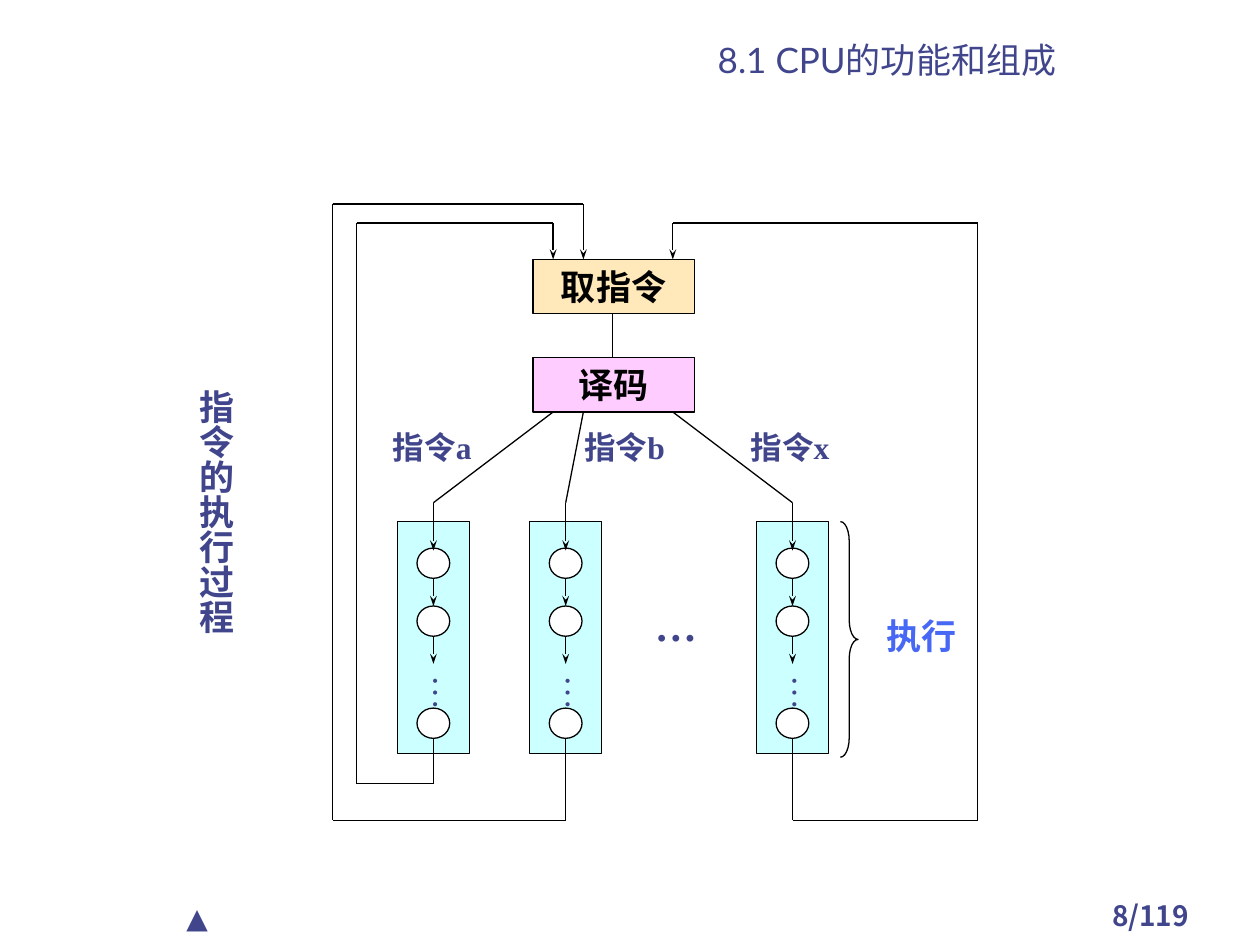
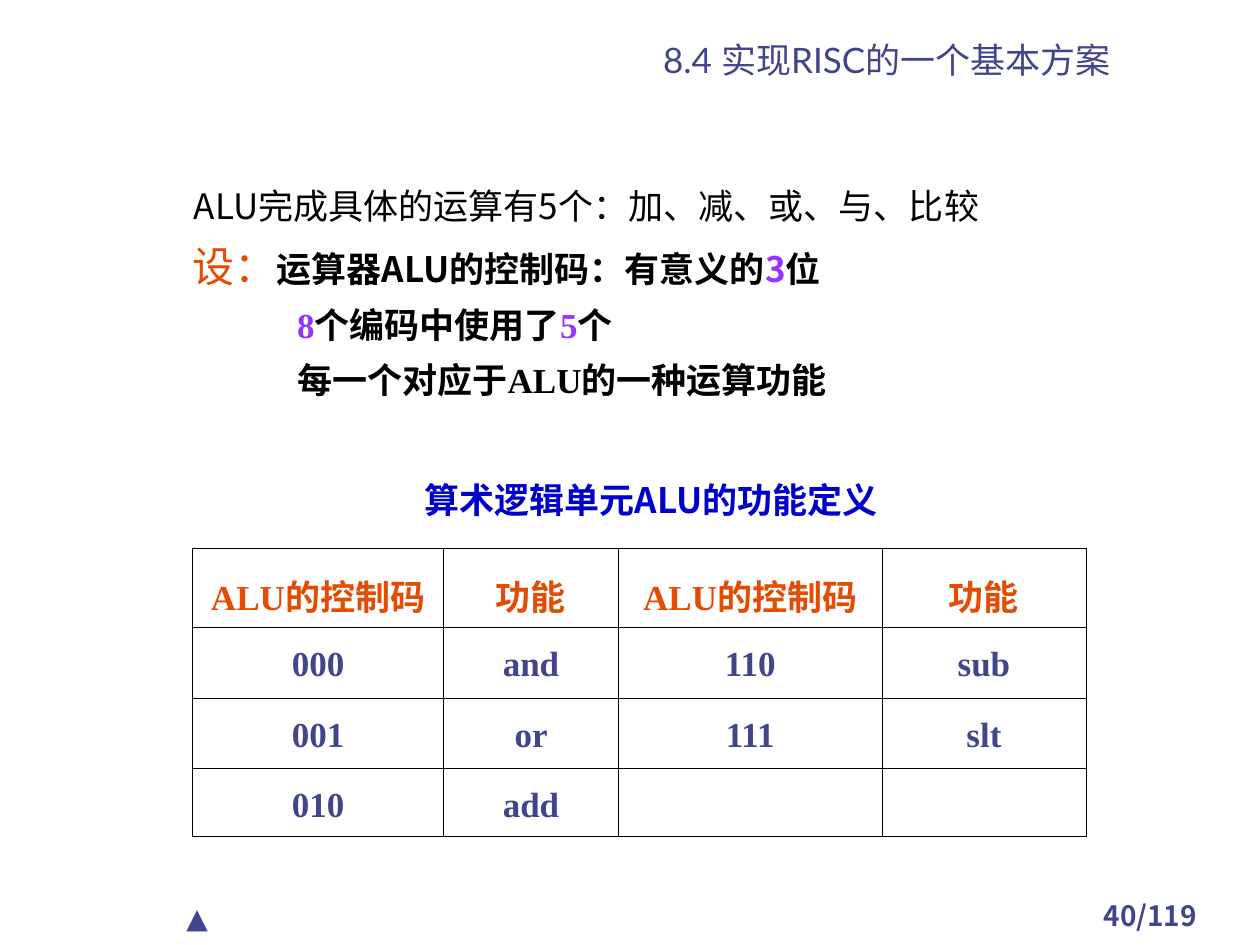
from dataclasses import dataclass
from typing import Optional

from lxml import etree
from pptx import Presentation
from pptx.dml.color import RGBColor
from pptx.enum.shapes import MSO_CONNECTOR, MSO_SHAPE
from pptx.enum.text import MSO_ANCHOR, PP_ALIGN
from pptx.oxml.ns import qn
from pptx.util import Inches, Pt

RECTANGLE, OVAL, BRACE = MSO_SHAPE.RECTANGLE, MSO_SHAPE.OVAL, MSO_SHAPE.RIGHT_BRACE
STRAIGHT = MSO_CONNECTOR.STRAIGHT
LEFT, CENTER = PP_ALIGN.LEFT, PP_ALIGN.CENTER
TOP, MIDDLE, BOTTOM = MSO_ANCHOR.TOP, MSO_ANCHOR.MIDDLE, MSO_ANCHOR.BOTTOM


@dataclass(frozen=True)
class Theme:
    indigo: str = "40458C"
    black: str = "000000"
    white: str = "FFFFFF"
    orange: str = "E24C05"
    purple: str = "9933FF"
    blue: str = "0000CC"
    bright_blue: str = "4768F5"
    cyan: str = "CCFFFF"
    pink: str = "FFCCFF"
    cream: str = "FFE8B9"
    sans: str = "Lato"
    serif: str = "Times New Roman"
    chinese: str = "Noto Sans CJK SC"
    small: int = 16
    label: int = 18
    normal: int = 20
    large: int = 24
    outline: float = 0.75
    cell_border: float = 0.45


THEME = Theme()


@dataclass(frozen=True)
class Style:
    size: int = THEME.normal
    color: str = THEME.indigo
    face: str = THEME.serif
    bold: bool = True


@dataclass(frozen=True)
class Span:
    text: str
    style: Style


@dataclass(frozen=True)
class Lane:
    """One instruction's column of execution steps."""
    center: float
    name: str
    label_left: float
    decode_x: float
    fetch_x: float
    return_x: float
    return_top: float
    return_bottom: float


BLACK_BOLD = Style(color=THEME.black)
TITLE = Style(face=THEME.sans, bold=False)
PAGE_NUMBER = Style(size=THEME.small, face=THEME.chinese)
MARKER = Style(size=THEME.small, face=THEME.sans, bold=False)
LABEL = Style(size=THEME.label)

FETCH_TOP, FETCH_BOTTOM = 2.06, 2.49
DECODE_TOP, DECODE_BOTTOM = 2.84, 3.27
BOX_LEFT, BOX_WIDTH, BOX_HEIGHT = 4.23, 1.28, 0.43
LANE_TOP, LANE_WIDTH, LANE_HEIGHT = 4.14, 0.57, 1.84
STEP_TOPS = (4.35, 4.81, 5.62)
STEP_WIDTH, STEP_HEIGHT = 0.26, 0.24
LANES = (
    Lane(3.44, "指令a", 3.02, 4.39, 4.39, 2.83, 1.77, 6.22),
    Lane(4.49, "指令b", 4.54, 4.63, 4.63, 2.64, 1.62, 6.51),
    Lane(6.29, "指令x", 5.86, 5.34, 5.34, 7.76, 1.77, 6.51),
)


def apply_style(font, style: Style) -> None:
    font.size = Pt(style.size)
    font.bold = style.bold
    font.color.rgb = RGBColor.from_string(style.color)
    font.name = style.face
    latin = font._rPr.find(qn("a:latin"))
    east_asian = etree.Element(qn("a:ea"), typeface=THEME.chinese)
    latin.addnext(east_asian)


def write(para, text: str, style: Style, align=LEFT) -> None:
    para.text = text
    para.alignment = align
    apply_style(para.font, style)


def add_text(page, left: float, top: float, width: float, height: float, text: str,
             style: Style, align=LEFT, anchor=TOP, vertical: bool = False) -> None:
    box = page.shapes.add_textbox(*map(Inches, (left, top, width, height)))
    frame = box.text_frame
    frame.word_wrap = True
    frame.vertical_anchor = anchor
    if vertical:
        frame._txBody.bodyPr.set("vert", "eaVert")
        frame.margin_left = frame.margin_right = Inches(0.05)
        frame.margin_top = frame.margin_bottom = Inches(0.1)
    write(frame.paragraphs[0], text, style, align)


def add_box(page, preset, left: float, top: float, width: float, height: float,
            fill: Optional[str] = None, text: str = ""):
    shape = page.shapes.add_shape(preset, *map(Inches, (left, top, width, height)))
    shape.shadow.inherit = False
    if fill:
        shape.fill.solid()
        shape.fill.fore_color.rgb = RGBColor.from_string(fill)
    else:
        shape.fill.background()
    shape.line.color.rgb = RGBColor.from_string(THEME.black)
    shape.line.width = Pt(THEME.outline)
    if text:
        shape.text_frame.vertical_anchor = MIDDLE
        write(shape.text_frame.paragraphs[0], text, BLACK_BOLD, CENTER)
    return shape


def add_route(page, *points: tuple[float, float], arrow: bool = True) -> None:
    """Join the points with straight lines; the arrowhead sits on the last point."""
    for start, end in zip(points, points[1:]):
        line = page.shapes.add_connector(STRAIGHT, *map(Inches, start + end))
        line.line.color.rgb = RGBColor.from_string(THEME.black)
        line.line.width = Pt(THEME.outline)
        properties = line._element.spPr
        etree.SubElement(properties, qn("a:effectLst"))
        if arrow and end == points[-1]:
            etree.SubElement(properties.find(qn("a:ln")), qn("a:tailEnd"),
                             type="stealth", w="sm")


def add_page(deck, title: str, number: str):
    page = deck.slides.add_slide(deck.slide_layouts[6])
    add_text(page, 8.42, 7.08, 1.42, 0.33, number, PAGE_NUMBER, CENTER)
    add_text(page, 1.38, 7.1, 1.42, 0.37, "▲", MARKER)
    add_text(page, 4.25, 0.27, 5.58, 0.42, title, TITLE, CENTER, BOTTOM)
    return page


def add_lane(page, lane: Lane) -> None:
    x = lane.center
    add_box(page, RECTANGLE, x - LANE_WIDTH / 2, LANE_TOP, LANE_WIDTH, LANE_HEIGHT, THEME.cyan)
    add_text(page, x - 0.19, 5.26, 0.52, 0.57, "…", Style(bold=False), vertical=True)
    for top in STEP_TOPS:
        add_box(page, OVAL, x - STEP_WIDTH / 2, top, STEP_WIDTH, STEP_HEIGHT, THEME.white)
    for top in STEP_TOPS[:2]:
        bottom = top + STEP_HEIGHT
        add_route(page, (x, bottom), (x, bottom + 0.22))
    add_route(page, (lane.decode_x, DECODE_BOTTOM), (x, 3.99), (x, STEP_TOPS[0] + 0.02))
    add_route(page, (x, STEP_TOPS[-1] + STEP_HEIGHT), (x, lane.return_bottom),
              (lane.return_x, lane.return_bottom), (lane.return_x, lane.return_top),
              (lane.fetch_x, lane.return_top), (lane.fetch_x, FETCH_TOP))
    add_text(page, lane.label_left, 3.35, 1.09, 0.5, lane.name, LABEL)


def build_instruction_cycle(deck) -> None:
    page = add_page(deck, "8.1 CPU的功能和组成", "8/119")
    add_box(page, RECTANGLE, BOX_LEFT, FETCH_TOP, BOX_WIDTH, BOX_HEIGHT, THEME.cream, "取指令")
    add_box(page, RECTANGLE, BOX_LEFT, DECODE_TOP, BOX_WIDTH, BOX_HEIGHT, THEME.pink, "译码")
    add_route(page, (4.86, FETCH_BOTTOM), (4.86, DECODE_TOP), arrow=False)
    for lane in LANES:
        add_lane(page, lane)
    add_text(page, 5.1, 4.71, 0.76, 0.5, "…", Style(size=THEME.large))
    brace = add_box(page, BRACE, 6.67, LANE_TOP, 0.14, 1.87)
    brace.adjustments[0] = 1.1
    add_text(page, 6.94, 4.83, 0.81, 0.51, "执行", Style(color=THEME.bright_blue))
    add_text(page, 1.33, 2.99, 0.6, 2.3, "指令的执行过程", Style(face=THEME.sans), vertical=True)


def add_body(page) -> None:
    sans = Style(color=THEME.black, face=THEME.chinese)
    plain = Style(color=THEME.black, face=THEME.chinese, bold=False)
    lead = Style(THEME.large, THEME.orange, THEME.serif, False)
    sans_accent = Style(color=THEME.purple, face=THEME.chinese)
    accent = Style(color=THEME.purple)
    lines = (
        (0.69, [Span("ALU完成具体的运算有5个：加、减、或、与、比较", plain)]),
        (0.68, [Span("设：", lead), Span("运算器ALU的控制码：有意义的", sans),
                Span("3", sans_accent), Span("位", sans)]),
        (1.51, [Span("8", accent), Span("个编码中使用了", BLACK_BOLD),
                Span("5", accent), Span("个", BLACK_BOLD)]),
        (1.51, [Span("每一个对应于ALU的一种运算功能", BLACK_BOLD)]),
    )
    frame = page.shapes.add_textbox(*map(Inches, (0.75, 1.38, 8.35, 2.21))).text_frame
    frame.word_wrap = True
    for index, (indent, spans) in enumerate(lines):
        para = frame.add_paragraph() if index else frame.paragraphs[0]
        para.line_spacing = 1.1
        para.space_before = Pt(5)
        para._p.get_or_add_pPr().set("marL", str(Inches(indent)))
        for span in spans:
            run = para.add_run()
            run.text = span.text
            apply_style(run.font, span.style)


def add_borders(cell) -> None:
    properties = cell._tc.get_or_add_tcPr()
    for index, side in enumerate(("lnL", "lnR", "lnT", "lnB")):
        line = etree.Element(qn(f"a:{side}"), w=str(Pt(THEME.cell_border)))
        fill = etree.SubElement(line, qn("a:solidFill"))
        etree.SubElement(fill, qn("a:srgbClr"), val=THEME.black)
        properties.insert(index, line)


def add_function_table(page) -> None:
    rows = (
        ("ALU的控制码", "功能", "ALU的控制码", "功能"),
        ("000", "and", "110", "sub"),
        ("001", "or", "111", "slt"),
        ("010", "add", "", ""),
    )
    widths = (1.99, 1.39, 2.09, 1.62)
    heights = (0.63, 0.56, 0.56, 0.54)
    table = page.shapes.add_table(len(rows), len(widths), Inches(1.53), Inches(4.35),
                                  Inches(sum(widths)), Inches(sum(heights))).table
    table.first_row = table.horz_banding = False
    for column, width in zip(table.columns, widths):
        column.width = Inches(width)
    for index, (row, height, texts) in enumerate(zip(table.rows, heights, rows)):
        row.height = Inches(height)
        style = Style(color=THEME.indigo if index else THEME.orange)
        for cell, text in zip(row.cells, texts):
            cell.fill.background()
            add_borders(cell)
            if text:
                para = cell.text_frame.paragraphs[0]
                write(para, text, style, CENTER)
                para.line_spacing = 1.3


def build_alu_functions(deck) -> None:
    page = add_page(deck, "8.4 实现RISC的一个基本方案", "40/119")
    add_body(page)
    add_function_table(page)
    add_text(page, 3.27, 3.75, 4.09, 0.5, "算术逻辑单元ALU的功能定义",
             Style(color=THEME.blue, face=THEME.chinese))


def main() -> None:
    deck = Presentation()
    deck.slide_width, deck.slide_height = Inches(10), Inches(7.5)
    build_instruction_cycle(deck)
    build_alu_functions(deck)
    deck.save("out.pptx")


if __name__ == "__main__":
    main()
